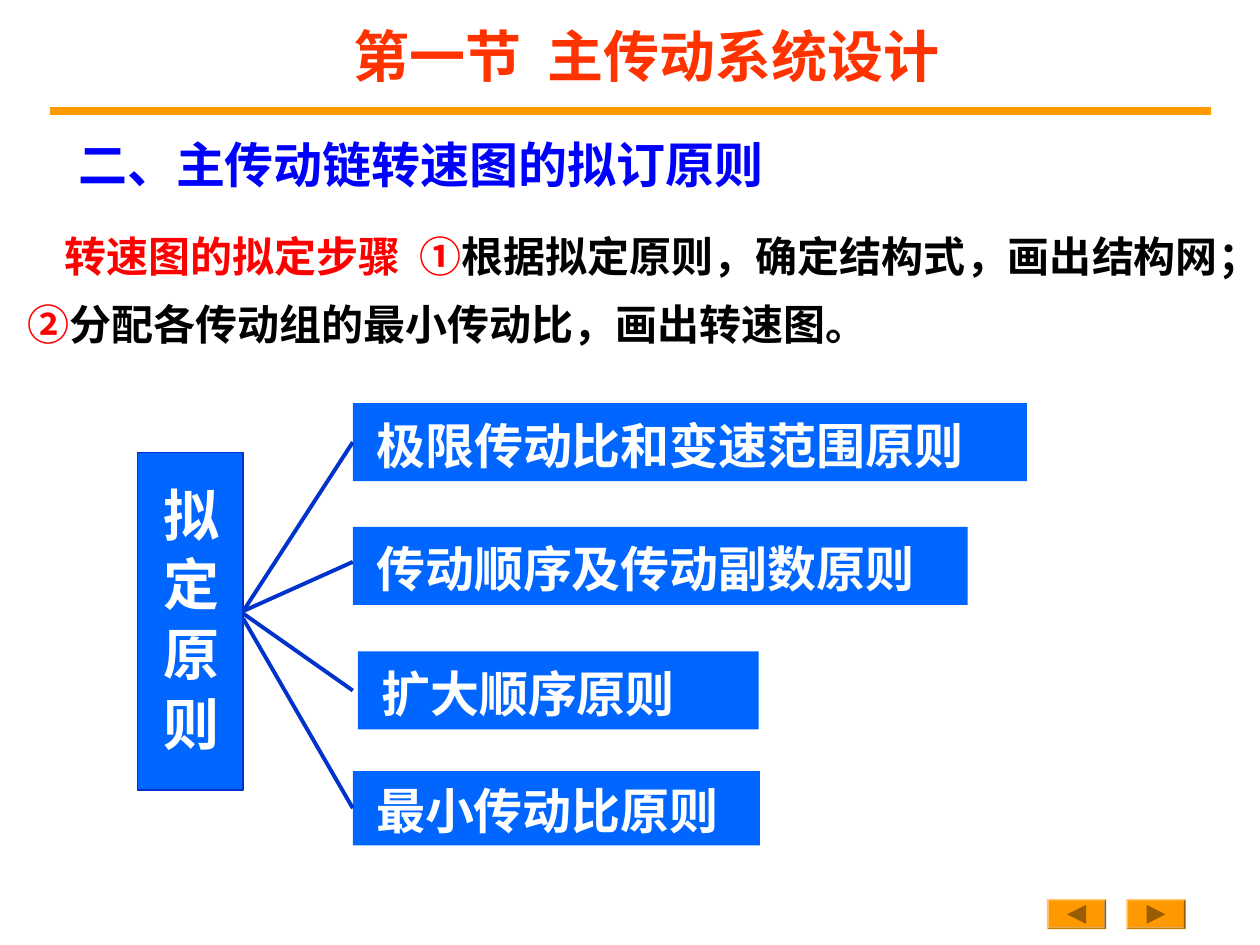
from dataclasses import dataclass

from lxml import etree
from pptx import Presentation
from pptx.dml.color import RGBColor
from pptx.enum.shapes import MSO_CONNECTOR, MSO_SHAPE
from pptx.enum.text import MSO_ANCHOR, PP_ALIGN
from pptx.oxml.ns import qn
from pptx.util import Pt

RECT, BEVEL = MSO_SHAPE.RECTANGLE, MSO_SHAPE.BEVEL
LINE = MSO_CONNECTOR.STRAIGHT
TOP, LEFT, CENTER = MSO_ANCHOR.TOP, PP_ALIGN.LEFT, PP_ALIGN.CENTER
SC, JP, ARIAL = "Noto Sans CJK SC", "Noto Sans CJK JP", "Arial"
COLORS = {
    "title": "FF3300", "head": "0000FF", "key": "FF0000", "body": "000000",
    "box": "0066FF", "link": "0033CC", "white": "FFFFFF",
    "gold": "FF9900", "arrow": "995C00",
}


@dataclass
class Run:
    text: str
    color: str
    gap: float = 0  # extra points after each letter


@dataclass
class Style:
    size: float
    font: str
    east: str
    lines: float = 1.0
    indent: float = 0
    align: PP_ALIGN = LEFT


@dataclass
class Rule:
    """A principle box and the link that leads to it."""
    text: str
    x: float
    y: float
    w: float
    h: float
    lines: float
    start: float
    end: float
    joined: bool


RULES = [
    Rule("极限传动比和变速范围原则", 201.6, 230.4, 385.2, 44.6, 1.1, 349.2, 252.7, True),
    Rule("传动顺序及传动副数原则", 201.6, 301, 351.4, 44.6, 1.1, 349.2, 321.1, False),
    Rule("扩大顺序原则", 204.5, 372.2, 229, 44.6, 1.1, 350.6, 394.6, False),
    Rule("最小传动比原则", 201.6, 440.6, 232.6, 42.5, 1.05, 353.5, 461.5, True),
]


def rgb(name: str) -> RGBColor:
    return RGBColor.from_string(COLORS[name])


def apply(target, values: dict) -> None:
    for name, value in values.items():
        setattr(target, name, value)


def write(shape, runs: list[Run], style: Style) -> None:
    apply(shape.text_frame, {"word_wrap": True, "vertical_anchor": TOP})
    para = shape.text_frame.paragraphs[0]
    apply(para, {"alignment": style.align, "line_spacing": style.lines})
    if style.indent:
        props = para._p.get_or_add_pPr()
        props.set("marL", "0")
        props.set("indent", str(Pt(style.indent)))
    for item in runs:
        run = para.add_run()
        run.text = item.text
        apply(run.font, {"size": Pt(style.size), "bold": True, "name": style.font})
        run.font.color.rgb = rgb(item.color)
        props = run._r.get_or_add_rPr()
        etree.SubElement(props, qn("a:ea")).set("typeface", style.east)
        if item.gap:
            props.set("spc", str(round(item.gap * 100)))


def add_text(shapes, x, y, w, h, runs: list[Run], style: Style) -> None:
    write(shapes.add_textbox(Pt(x), Pt(y), Pt(w), Pt(h)), runs, style)


def paint(shape, fill: str, edge: str = "") -> None:
    shape.shadow.inherit = False
    shape.fill.solid()
    shape.fill.fore_color.rgb = rgb(fill)
    if edge:
        shape.line.color.rgb = rgb(edge)
        shape.line.width = Pt(0.75)
    else:
        shape.line.fill.background()


def add_box(shapes, kind, x, y, w, h, fill: str, edge: str = ""):
    box = shapes.add_shape(kind, Pt(x), Pt(y), Pt(w), Pt(h))
    paint(box, fill, edge)
    return box


def add_line(shapes, x1, y1, x2, y2, color: str, width: float):
    line = shapes.add_connector(LINE, Pt(x1), Pt(y1), Pt(x2), Pt(y2))
    line.line.color.rgb = rgb(color)
    line.line.width = Pt(width)
    etree.SubElement(line._element.spPr, qn("a:effectLst"))
    return line


def add_button(shapes, x: float, side: int) -> None:
    """Draw a page button; side is -1 for back and 1 for next."""
    y, w, h, half = 514, 33.8, 17, 5.4
    face = add_box(shapes, BEVEL, x, y, w, h, "gold")
    face.adjustments[0] = 0.06
    mid, row = x + w / 2, y + h / 2
    base, tip = mid - side * half, mid + side * half
    path = shapes.build_freeform(Pt(base), Pt(row - half))
    path.add_line_segments([(Pt(tip), Pt(row)), (Pt(base), Pt(row + half))])
    paint(path.convert_to_shape(), "arrow")


def add_root(shapes) -> None:
    box = add_box(shapes, RECT, 78.5, 258.5, 60.5, 193, "box", "link")
    apply(box.text_frame, {
        "margin_left": Pt(3.6), "margin_right": Pt(3.6),
        "margin_top": Pt(7.2), "margin_bottom": Pt(7.2),
    })
    box.text_frame._txBody.bodyPr.set("vert", "eaVert")
    write(box, [Run("拟 定 原 则", "white")], Style(32, JP, JP, 1.2, 12.5))


def add_rule(shapes, rule: Rule) -> None:
    box = add_box(shapes, RECT, rule.x, rule.y, rule.w, rule.h, "box")
    write(box, [Run(rule.text, "white")], Style(28, JP, JP, rule.lines, 6.3))
    link = add_line(shapes, 139, rule.start, 201.6, rule.end, "link", 2.25)
    if rule.joined:
        link.end_connect(box, 1)


def main() -> None:
    deck = Presentation()
    apply(deck, {"slide_width": Pt(720), "slide_height": Pt(540)})
    shapes = deck.slides.add_slide(deck.slide_layouts[6]).shapes

    add_text(shapes, 8.6, 118.1, 700.6, 85, [
        Run("转速图的拟定步骤", "key"),
        Run(" ", "key", 5.4),
        Run("①", "key"),
        Run("根据拟定原则，确定结构式，画出结构网；", "body"),
        Run("②", "key"),
        Run("分配各传动组的最小传动比，画出转速图。", "body"),
    ], Style(24, SC, SC, 1.35, 21.5))
    for x, side in ((598.3, -1), (643.7, 1)):
        add_button(shapes, x, side)
    add_text(shapes, 0, 73.4, 541.4, 41,
             [Run("二、主传动链转速图的拟订原则", "head")],
             Style(28, ARIAL, SC, indent=37.6))
    add_root(shapes)
    for rule in RULES:
        add_rule(shapes, rule)
    add_line(shapes, 28.8, 63.4, 691.9, 63.4, "gold", 4.5)
    add_text(shapes, 87.8, 8.6, 563.8, 46.1, [
        Run("第一节", "title"),
        Run(" ", "title", 7.2),
        Run("主传动系统设计", "title"),
    ], Style(32, SC, SC, align=CENTER))
    deck.save("out.pptx")


if __name__ == "__main__":
    main()
